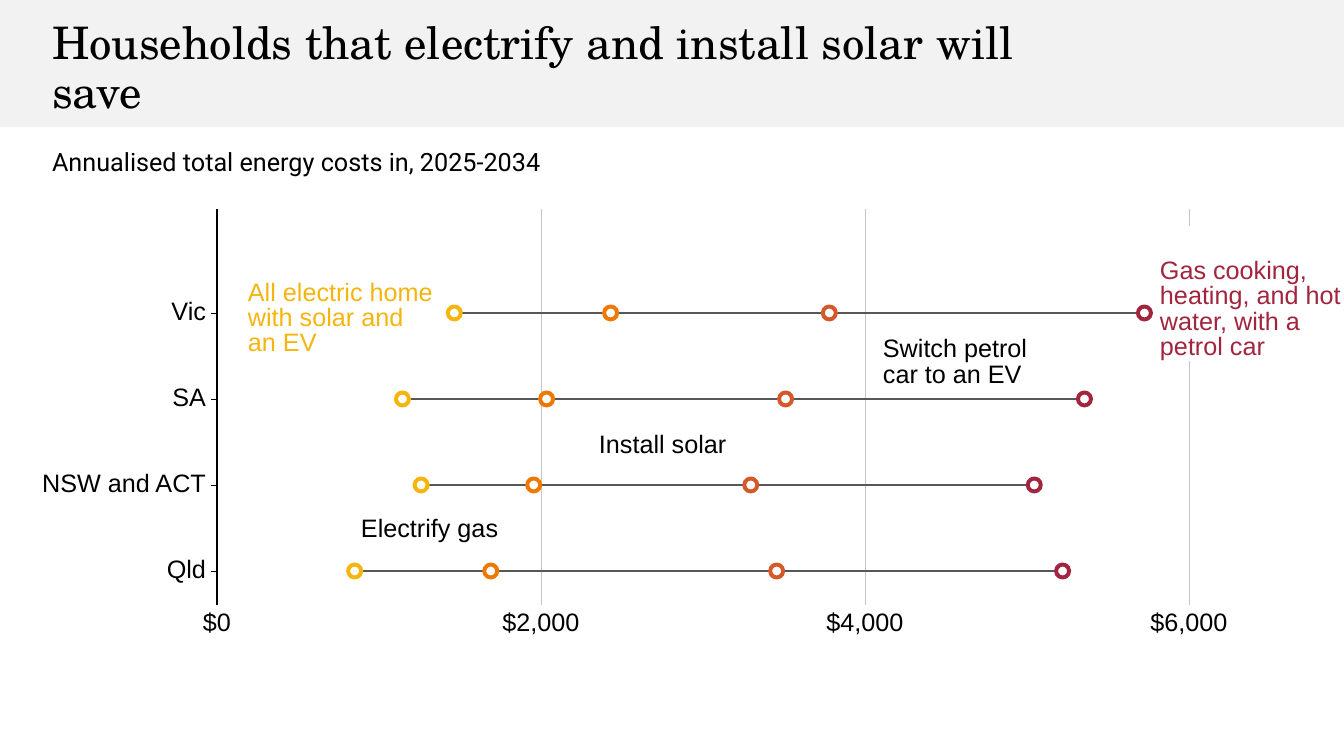
from lxml import etree
from pptx import Presentation
from pptx import util as u
from pptx.dml.color import RGBColor
from pptx.enum import shapes, text
from pptx.oxml.ns import qn

# Content
TITLE = "Households that electrify and install solar will save"
SUBTITLE = "Annualised total energy costs in, 2025-2034"
STAGE_COLOURS = ["F5B50C", "EF7900", "D4582A", "A1253E"]
COSTS = {  # dollars a year, from all electric to all gas and petrol
    "Vic": [1465, 2430, 3780, 5725],
    "SA": [1145, 2035, 3510, 5355],
    "NSW and ACT": [1260, 1955, 3295, 5045],
    "Qld": [850, 1690, 3455, 5220],
}
TICKS = {0: "$0", 2000: "$2,000", 4000: "$4,000", 6000: "$6,000"}
CALLOUTS = [  # wording, box in px, colour, fill
    ("All electric home with solar and an EV", (248, 281, 187, 76), "F5B50C", None),
    ("Gas cooking, heating, and hot water, with a petrol car",
     (1160, 259, 184, 102), "A1253E", "FFFFFF"),
    ("Switch petrol car to an EV", (883, 338, 150, 50), "000000", None),
    ("Install solar", (599, 433, 135, 25), "000000", None),
    ("Electrify gas", (361, 517, 145, 25), "000000", None),
]

# Layout in px
PX = 914400 / 100.8
AXIS_X, PLOT_TOP, PLOT_BOTTOM = 217, 209, 605
FIRST_ROW, ROW_STEP = 313, 86
PX_PER_DOLLAR = 0.162
MARKER, TICK = 13, 6
LABEL_HEIGHT, TICK_LABEL_WIDTH = 25, 100


def emu(*lengths):
    return [u.Emu(round(length * PX)) for length in lengths]


def colour(value):
    return RGBColor.from_string(value)


def cost_x(cost):
    return AXIS_X + cost * PX_PER_DOLLAR


def set_format(target, values):
    for name, value in values.items():
        setattr(target, name, value)


def write(shape, wording, font, size, ink, frame_format, paragraph_format):
    frame = shape.text_frame
    set_format(frame, frame_format)
    paragraph = frame.paragraphs[0]
    paragraph.text = wording
    set_format(paragraph, paragraph_format)
    set_format(paragraph.font, {"name": font, "size": u.Pt(size), "bold": False})
    paragraph.font.color.rgb = colour(ink)


def add_label(slide, wording, box, ink="000000", fill=None, align=text.PP_ALIGN.LEFT,
              wrap=True):
    label = slide.shapes.add_textbox(*emu(*box))
    if fill:
        label.fill.solid()
        label.fill.fore_color.rgb = colour(fill)
    frame_format = {"word_wrap": wrap, "vertical_anchor": text.MSO_ANCHOR.MIDDLE}
    frame_format.update(dict.fromkeys(
        ["margin_left", "margin_top", "margin_right", "margin_bottom"], 0))
    write(label, wording, "Arial", 18, ink, frame_format,
          {"alignment": align, "line_spacing": u.Pt(18)})


def add_line(slide, start, end, ink, width):
    line = slide.shapes.add_connector(
        shapes.MSO_CONNECTOR.STRAIGHT, *emu(*start, *end))
    line.line.color.rgb = colour(ink)
    line.line.width = u.Pt(width)
    etree.SubElement(line.element.spPr, qn("a:effectLst"))


def add_shape(slide, kind, box, fill, ink=None, width=0):
    shape = slide.shapes.add_shape(kind, *emu(*box))
    shape.shadow.inherit = False
    shape.fill.solid()
    shape.fill.fore_color.rgb = colour(fill)
    if ink:
        shape.line.color.rgb = colour(ink)
        shape.line.width = u.Pt(width)
    else:
        shape.line.fill.background()
    return shape


def place(placeholder, box):
    names = ["left", "top", "width", "height"]
    set_format(placeholder, dict(zip(names, emu(*box))))


def add_heading(slide):
    band = add_shape(slide, shapes.MSO_SHAPE.RECTANGLE, (0, 0, 1344, 127), "F2F2F2")
    title, body = slide.shapes.title, slide.placeholders[1]
    title.element.addprevious(band.element)
    place(title, (42, 40, 1062, 59))
    place(body, (42, 145, 1257, 37))

    # The subtitle has no bullet
    properties = body.text_frame.paragraphs[0]._p.get_or_add_pPr()
    properties.set("marL", "0")
    properties.set("indent", "0")
    etree.SubElement(properties, qn("a:buNone"))

    frame_format = {"word_wrap": True, "auto_size": text.MSO_AUTO_SIZE.NONE}
    paragraph_format = {"alignment": text.PP_ALIGN.LEFT, "line_spacing": 0.9,
                        "space_before": u.Pt(0)}
    write(title, TITLE, "TeX Gyre Schola", 32, "000000",
          {**frame_format, "vertical_anchor": text.MSO_ANCHOR.MIDDLE}, paragraph_format)
    write(body, SUBTITLE, "Roboto", 18, "000000",
          {**frame_format, "vertical_anchor": text.MSO_ANCHOR.TOP}, paragraph_format)


def add_plot(slide):
    # Gridlines and cost scale
    for cost, wording in TICKS.items():
        x = cost_x(cost)
        if cost:
            add_line(slide, (x, PLOT_TOP), (x, PLOT_BOTTOM), "C3C7CB", 0.37)
        box = (x - TICK_LABEL_WIDTH / 2, 611, TICK_LABEL_WIDTH, LABEL_HEIGHT)
        add_label(slide, wording, box, align=text.PP_ALIGN.CENTER)

    # Callouts, with the last gridline cleared above the rightmost one
    add_shape(slide, shapes.MSO_SHAPE.ROUNDED_RECTANGLE, (1081, 226, 129, 53), "FFFFFF")
    for wording, box, ink, fill in CALLOUTS:
        add_label(slide, wording, box, ink, fill)

    # One row per state: range line, markers, tick and name
    for row, (state, costs) in enumerate(COSTS.items()):
        y = FIRST_ROW + row * ROW_STEP
        add_line(slide, (cost_x(costs[0]), y), (cost_x(costs[-1]), y), "575757", 1.07)
        for cost, ink in zip(costs, STAGE_COLOURS):
            box = (cost_x(cost) - MARKER / 2, y - MARKER / 2, MARKER, MARKER)
            add_shape(slide, shapes.MSO_SHAPE.OVAL, box, "FFFFFF", ink, 2.83)
        add_line(slide, (AXIS_X - TICK, y), (AXIS_X, y), "000000", 0.56)
        add_label(slide, state, (41, y - LABEL_HEIGHT / 2, 165, LABEL_HEIGHT),
                  align=text.PP_ALIGN.RIGHT, wrap=False)

    # Vertical axis
    add_line(slide, (AXIS_X, PLOT_TOP), (AXIS_X, PLOT_BOTTOM), "000000", 0.75)


def main():
    presentation = Presentation()
    presentation.slide_width, presentation.slide_height = emu(1344, 756)
    slide = presentation.slides.add_slide(presentation.slide_layouts[1])
    add_heading(slide)
    add_plot(slide)
    presentation.save("out.pptx")


if __name__ == "__main__":
    main()
